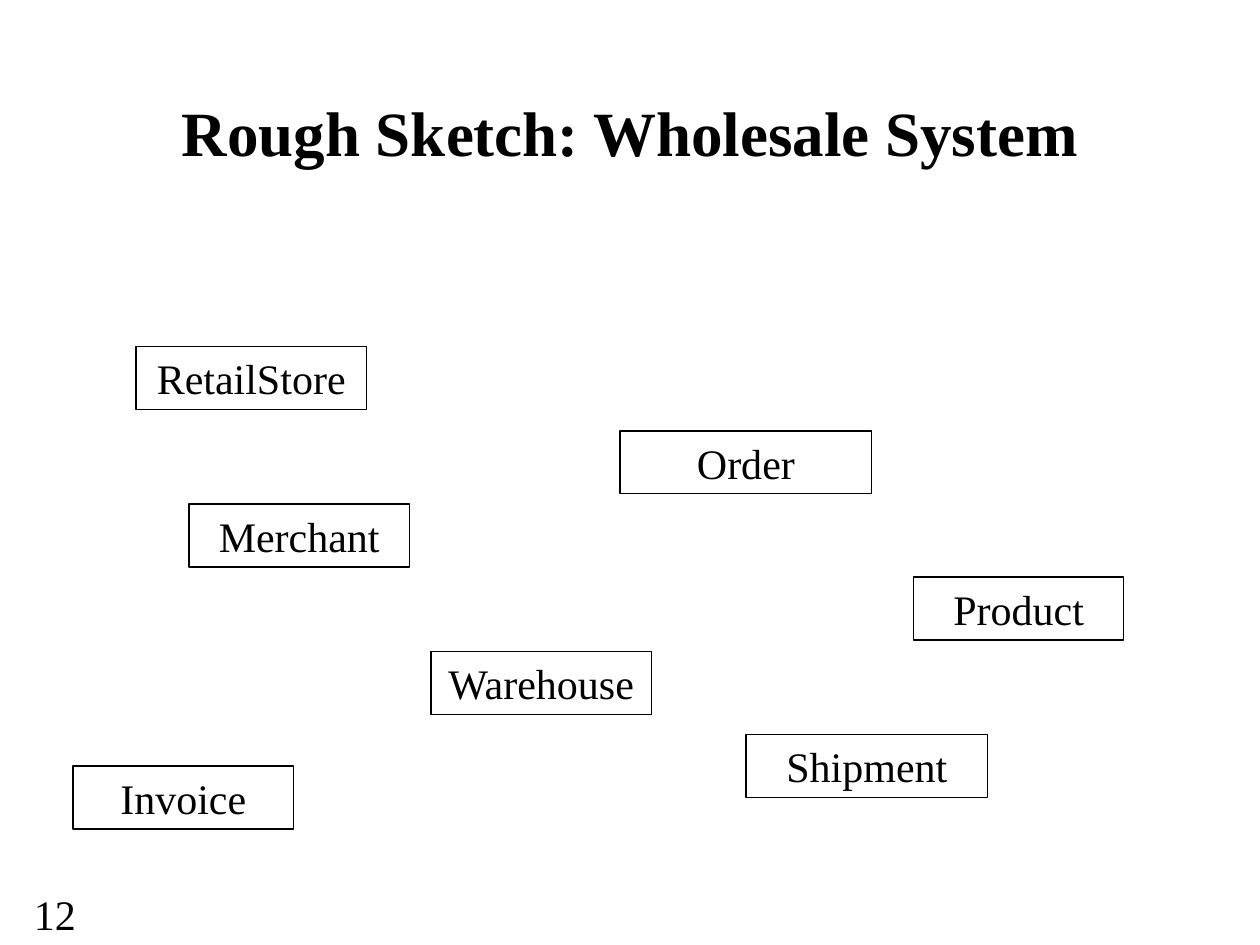
from dataclasses import dataclass

from pptx import Presentation
from pptx.dml.color import RGBColor
from pptx.enum.shapes import MSO_SHAPE
from pptx.enum.text import MSO_ANCHOR, MSO_AUTO_SIZE, PP_ALIGN
from pptx.util import Inches, Pt

RECTANGLE = MSO_SHAPE.RECTANGLE
MIDDLE = MSO_ANCHOR.MIDDLE
NO_AUTOFIT = MSO_AUTO_SIZE.NONE
LEFT, CENTER = PP_ALIGN.LEFT, PP_ALIGN.CENTER
TITLE_ONLY = 5


@dataclass(frozen=True)
class Theme:
    """Colours, font and sizes of the slide."""

    ink: RGBColor = RGBColor(0, 0, 0)
    paper: RGBColor = RGBColor(255, 255, 255)
    font: str = "Times New Roman"
    title_size: Pt = Pt(36)
    body_size: Pt = Pt(24)
    outline: Pt = Pt(0.75)


THEME = Theme()
CLASS_HEIGHT = 0.5
CLASSES = [
    ("RetailStore", 1.08, 2.75, 1.83),
    ("Warehouse", 3.42, 5.17, 1.75),
    ("Order", 4.92, 3.42, 2),
    ("Invoice", 0.58, 6.08, 1.75),
    ("Product", 7.25, 4.58, 1.67),
    ("Shipment", 5.92, 5.83, 1.92),
    ("Merchant", 1.5, 4, 1.75),
]


def write(frame, text, size, align, bold=False):
    """Write one line of text in a frame."""
    frame.word_wrap = True
    frame.auto_size = NO_AUTOFIT
    frame.vertical_anchor = MIDDLE
    paragraph = frame.paragraphs[0]
    paragraph.alignment = align
    run = paragraph.add_run()
    run.text = text
    run.font.name = THEME.font
    run.font.size = size
    run.font.bold = bold
    run.font.color.rgb = THEME.ink


def place_title(slide, text, left, top, width, height):
    """Move and format the title placeholder."""
    title = slide.shapes.title
    title.left, title.top = Inches(left), Inches(top)
    title.width, title.height = Inches(width), Inches(height)
    write(title.text_frame, text, THEME.title_size, CENTER, bold=True)


def add_class(slide, name, left, top, width, height):
    """Draw one outlined class box with its name."""
    box = slide.shapes.add_shape(
        RECTANGLE, Inches(left), Inches(top), Inches(width), Inches(height)
    )
    box.shadow.inherit = False
    box.fill.background()
    box.line.color.rgb = THEME.ink
    box.line.width = THEME.outline
    write(box.text_frame, name, THEME.body_size, CENTER)


def add_page_number(slide, number, left, top, width, height):
    """Write the page number in the given box."""
    page = slide.shapes.add_textbox(
        Inches(left), Inches(top), Inches(width), Inches(height)
    )
    write(page.text_frame, number, THEME.body_size, LEFT)


def main():
    """Build and save the slide."""
    deck = Presentation()
    deck.slide_width, deck.slide_height = Inches(10), Inches(7.5)
    slide = deck.slides.add_slide(deck.slide_layouts[TITLE_ONLY])
    slide.background.fill.solid()
    slide.background.fill.fore_color.rgb = THEME.paper
    add_page_number(slide, "12", 0.17, 7, 0.67, 0.5)
    place_title(slide, "Rough Sketch: Wholesale System", 0.75, 0.42, 8.5, 1.25)
    for name, left, top, width in CLASSES:
        add_class(slide, name, left, top, width, CLASS_HEIGHT)
    deck.save("out.pptx")


if __name__ == "__main__":
    main()
